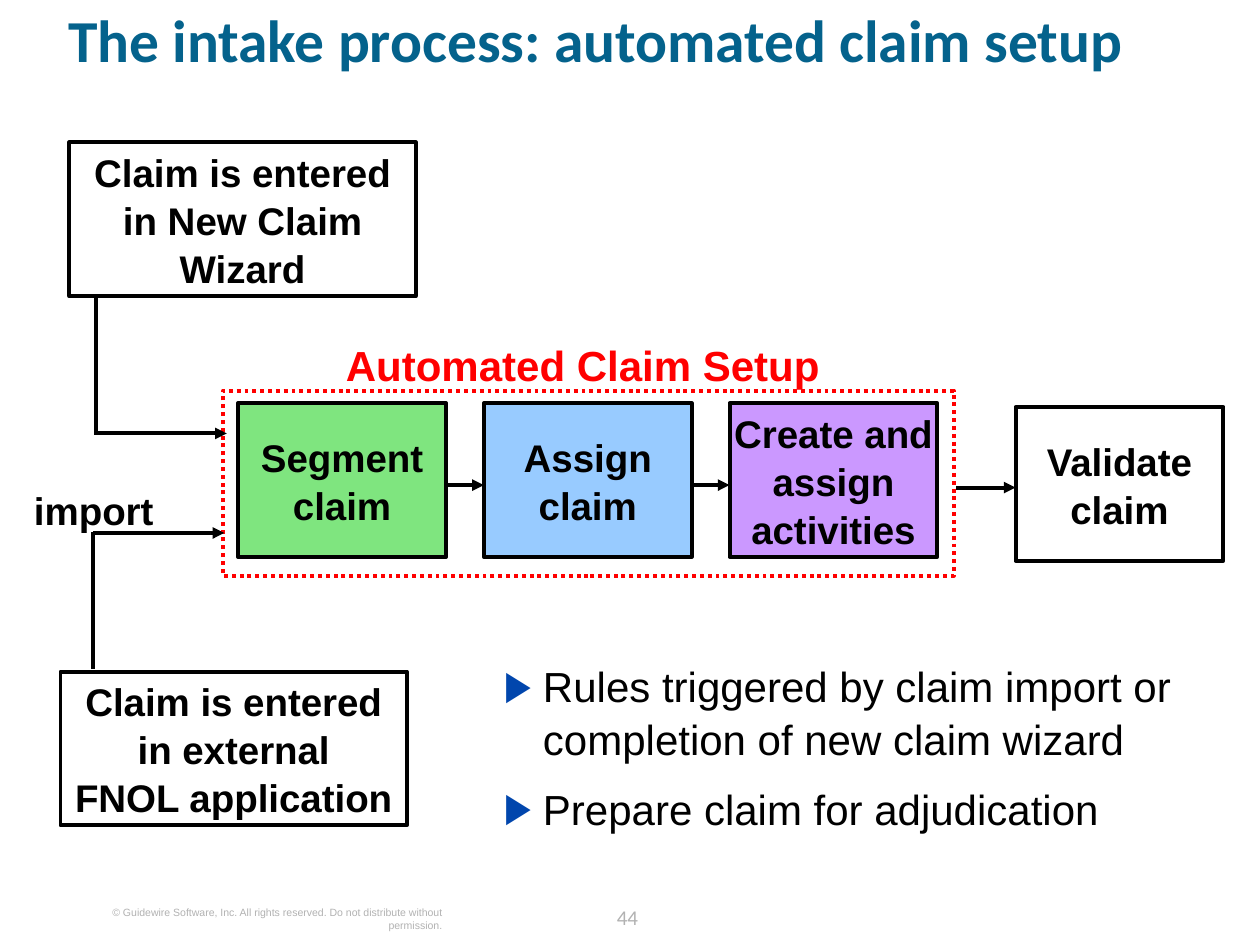
import pptx
import pptx.dml.color
import pptx.enum.dml
import pptx.enum.shapes
import pptx.enum.text
import pptx.oxml
import pptx.oxml.ns
import pptx.util
from pptx.util import Inches

COLORS = {
    "black": "000000", "white": "FFFFFF", "red": "FF0000", "title": "04628C",
    "footer": "B2B2B2", "bullet": "0146AD",
    "green": "00CC00", "blue": "3399FF", "purple": "9933FF",
}
ALIGN = pptx.enum.text.PP_ALIGN
ANCHOR = pptx.enum.text.MSO_ANCHOR


def rgb(name):
    return pptx.dml.color.RGBColor.from_string(COLORS[name])


def add_element(parent, tag, **attributes):
    element = pptx.oxml.parse_xml(f"<a:{tag} {pptx.oxml.ns.nsdecls('a')}/>")
    for key, value in attributes.items():
        element.set(key, value)
    parent.append(element)
    return element


class SlideBuilder:
    line_width = pptx.util.Pt(2.25)
    body_spacing = 1.04

    def __init__(self, slide):
        self.slide = slide

    def style(self, paragraph, size, color="black", bold=False, align=ALIGN.LEFT,
              font="Arial", spacing=None):
        paragraph.alignment = align
        paragraph.line_spacing = spacing
        paragraph.font.name = font
        paragraph.font.size = pptx.util.Pt(size)
        paragraph.font.bold = bold
        paragraph.font.color.rgb = rgb(color)

    def frame(self, shape, anchor, side_margin=0):
        frame = shape.text_frame
        frame.word_wrap = True
        frame.vertical_anchor = anchor
        frame.margin_left = frame.margin_right = Inches(side_margin)
        frame.margin_top = frame.margin_bottom = 0
        return frame

    def text(self, left, top, width, height, text, size, anchor=ANCHOR.TOP, **style):
        shape = self.slide.shapes.add_textbox(
            Inches(left), Inches(top), Inches(width), Inches(height))
        paragraph = self.frame(shape, anchor).paragraphs[0]
        paragraph.text = text
        self.style(paragraph, size, **style)

    def box(self, left, top, width, height, text="", fill="white", line="black",
            opacity=100, dash=None, side_margin=0):
        shape = self.slide.shapes.add_shape(
            pptx.enum.shapes.MSO_SHAPE.RECTANGLE,
            Inches(left), Inches(top), Inches(width), Inches(height))
        shape.shadow.inherit = False
        shape.fill.solid()
        shape.fill.fore_color.rgb = rgb(fill)
        if opacity < 100:
            color = shape._element.spPr.find(".//" + pptx.oxml.ns.qn("a:srgbClr"))
            add_element(color, "alpha", val=str(opacity * 1000))
        shape.line.color.rgb = rgb(line)
        shape.line.width = self.line_width
        if dash:
            shape.line.dash_style = dash
        if text:
            paragraph = self.frame(shape, ANCHOR.MIDDLE, side_margin).paragraphs[0]
            paragraph.text = text
            self.style(paragraph, 22, bold=True, align=ALIGN.CENTER,
                       spacing=self.body_spacing)

    def line(self, start, end, arrow=True):
        connector = self.slide.shapes.add_connector(
            pptx.enum.shapes.MSO_CONNECTOR.STRAIGHT,
            *[Inches(value) for value in (*start, *end)])
        connector.line.color.rgb = rgb("black")
        connector.line.width = self.line_width
        if arrow:
            add_element(connector.line._get_or_add_ln(), "tailEnd", type="triangle")
        add_element(connector._element.spPr, "effectLst")

    def bullets(self, left, top, width, height, items):
        shape = self.slide.shapes.add_textbox(
            Inches(left), Inches(top), Inches(width), Inches(height))
        frame = self.frame(shape, ANCHOR.TOP)
        for index, item in enumerate(items):
            paragraph = frame.add_paragraph() if index else frame.paragraphs[0]
            paragraph.text = item
            if index:
                paragraph.space_before = pptx.util.Pt(10)
            paragraph.line_spacing = self.body_spacing
            properties = paragraph._p.get_or_add_pPr()
            properties.set("marL", str(Inches(0.31)))
            properties.set("indent", str(-Inches(0.31)))
            color = add_element(properties, "buClr")
            add_element(color, "srgbClr", val=COLORS["bullet"])
            add_element(properties, "buFont", typeface="Arial")
            add_element(properties, "buChar", char="▶")
            self.style(paragraph, 24, spacing=self.body_spacing)


def main():
    presentation = pptx.Presentation()
    presentation.slide_width = Inches(10)
    presentation.slide_height = Inches(7.5)
    builder = SlideBuilder(presentation.slides.add_slide(presentation.slide_layouts[6]))

    # Title
    builder.text(0.54, 0.13, 9.1, 0.81, "The intake process: automated claim setup",
                 34, color="title", bold=True, font="Calibri", spacing=0.8)

    # Frame around the automated steps
    builder.box(1.77, 3.1, 5.8, 1.47, line="red",
                dash=pptx.enum.dml.MSO_LINE.ROUND_DOT)
    builder.text(2.44, 2.68, 4.37, 0.4, "Automated Claim Setup", 24, color="red",
                 bold=True, align=ALIGN.CENTER, spacing=builder.body_spacing)

    # Two ways a claim comes in
    builder.box(0.55, 1.13, 2.75, 1.22, "Claim is entered in New Claim Wizard",
                side_margin=0.1)
    builder.box(0.48, 5.33, 2.75, 1.22,
                "Claim is entered in external\vFNOL application", side_margin=0.1)
    builder.line((0.76, 2.35), (0.76, 3.45), arrow=False)
    builder.line((0.75, 3.44), (1.8, 3.44))
    builder.line((0.74, 5.31), (0.74, 4.22), arrow=False)
    builder.line((0.74, 4.23), (1.78, 4.23))
    builder.text(0.27, 3.85, 1.07, 0.37, "import", 22, bold=True,
                 spacing=builder.body_spacing)

    # Automated steps, then validation
    steps = [("Segment\vclaim", "green"), ("Assign\vclaim", "blue"),
             ("Create and assign activities", "purple")]
    step_width, step_pitch = 1.65, 1.95
    for index, (label, color) in enumerate(steps):
        left = 1.89 + index * step_pitch
        builder.box(left, 3.2, step_width, 1.22, label, fill=color, opacity=50)
        if index:
            builder.line((left - step_pitch + step_width, 3.85), (left, 3.85))
    builder.box(8.06, 3.23, step_width, 1.22, "Validate\vclaim")
    builder.line((7.59, 3.87), (8.06, 3.87))

    # Key points
    builder.bullets(4, 5.23, 5.67, 1.45, [
        "Rules triggered by claim import or completion of new claim wizard",
        "Prepare claim for adjudication"])

    # Footer
    builder.text(0.61, 7.19, 2.9, 0.2,
                 "© Guidewire Software, Inc. All rights reserved. "
                 "Do not distribute without permission.",
                 6, color="footer", align=ALIGN.RIGHT)
    builder.text(4.73, 7.13, 0.5, 0.25, "44", 12, anchor=ANCHOR.MIDDLE, color="footer",
                 align=ALIGN.CENTER, font="Calibri", spacing=pptx.util.Pt(18))

    presentation.save("out.pptx")


if __name__ == "__main__":
    main()
